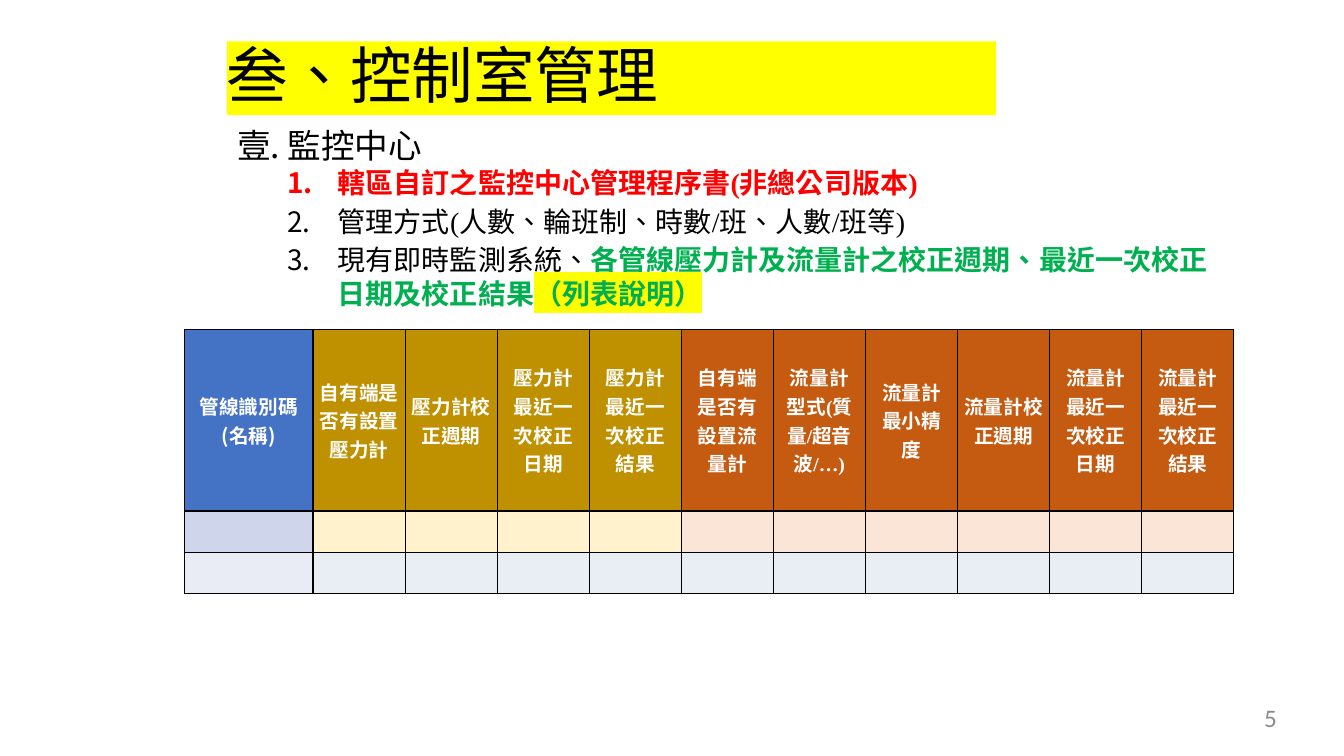
import lxml.etree
import pptx
import pptx.dml.color
import pptx.enum.lang
import pptx.enum.text
import pptx.oxml.ns
import pptx.util
from pptx.util import Cm, Pt

RGBColor = pptx.dml.color.RGBColor
BLACK = RGBColor(0x00, 0x00, 0x00)
WHITE = RGBColor(0xFF, 0xFF, 0xFF)
RED = RGBColor(0xFF, 0x00, 0x00)
GREEN = RGBColor(0x00, 0xB0, 0x50)
YELLOW = RGBColor(0xFF, 0xFF, 0x00)
GREY = RGBColor(0x8C, 0x8C, 0x8C)
BLUE = RGBColor(0x44, 0x72, 0xC4)
GOLD = RGBColor(0xBF, 0x90, 0x00)
ORANGE = RGBColor(0xC5, 0x5A, 0x11)
PALE_BLUE = RGBColor(0xCF, 0xD5, 0xEA)
PALE_GOLD = RGBColor(0xFF, 0xF2, 0xCC)
PALE_ORANGE = RGBColor(0xFB, 0xE5, 0xD6)
MIST = RGBColor(0xE9, 0xEB, 0xF5)
MIST_GREY = RGBColor(0xE9, 0xED, 0xF4)

SANS = "Noto Sans CJK SC"
SERIF = "Times New Roman"
LEFT = pptx.enum.text.PP_ALIGN.LEFT
CENTER = pptx.enum.text.PP_ALIGN.CENTER
RIGHT = pptx.enum.text.PP_ALIGN.RIGHT
TOP = pptx.enum.text.MSO_ANCHOR.TOP
MIDDLE = pptx.enum.text.MSO_ANCHOR.MIDDLE

NO_MARGINS = dict.fromkeys(("margin_left", "margin_right", "margin_top", "margin_bottom"), 0)
NARROW_MARGINS = {"margin_left": Cm(0.03), "margin_right": Cm(0.03),
                  "margin_top": Cm(0.05), "margin_bottom": Cm(0.05)}

# Paragraphs of the list: level, runs of (text, colour, bold, highlight)
OUTLINE = [
    (0, [("監控中心", BLACK, False, None)]),
    (1, [("轄區自訂之監控中心管理程序書(非總公司版本)", RED, True, None)]),
    (1, [("管理方式(人數、輪班制、時數/班、人數/班等)", BLACK, False, None)]),
    (1, [("現有即時監測系統、", BLACK, False, None),
         ("各管線壓力計及流量計之校正週期、最近一次校正日期及校正結果", GREEN, True, None),
         ("（列表說明）", GREEN, True, YELLOW)]),
]
LEVELS = [
    {"size": Pt(24), "numbering": "ea1ChtPeriod", "line": Pt(43.5), "after": Pt(0)},
    {"size": Pt(20), "numbering": "arabicPeriod", "line": Pt(24.3), "after": Pt(3)},
]

# Column groups: header fill, first row fill, second row fill, headers of (text, font, narrow)
COLUMN_GROUPS = [
    (BLUE, PALE_BLUE, MIST, [("管線識別碼\n(名稱)", SANS, False)]),
    (GOLD, PALE_GOLD, MIST_GREY, [
        ("自有端是否有設置壓力計", SERIF, True),
        ("壓力計校正週期", SERIF, True),
        ("壓力計最近一次校正日期", SANS, False),
        ("壓力計最近一次校正結果", SANS, False)]),
    (ORANGE, PALE_ORANGE, MIST_GREY, [
        ("自有端是否有設置流量計", SERIF, False),
        ("流量計型式(質量/超音波/…)", SERIF, False),
        ("流量計最小精度", SERIF, False),
        ("流量計校正週期", SERIF, True),
        ("流量計最近一次校正日期", SANS, False),
        ("流量計最近一次校正結果", SANS, False)]),
]


def set_values(target, values):
    for name, value in values.items():
        setattr(target, name, value)


def make_element(tag, **attributes):
    return lxml.etree.Element(pptx.oxml.ns.qn(tag), attributes)


class SlideBuilder:
    def __init__(self, presentation):
        self.slide = presentation.slides.add_slide(presentation.slide_layouts[1])
        self.text_format = {"language_id": pptx.enum.lang.MSO_LANGUAGE_ID.TRADITIONAL_CHINESE}
        self.frame_format = {"word_wrap": True,
                             "auto_size": pptx.enum.text.MSO_AUTO_SIZE.NONE}

    def place(self, shape, left, top, width, height):
        set_values(shape, {"left": Cm(left), "top": Cm(top),
                           "width": Cm(width), "height": Cm(height)})

    def run(self, paragraph, text, color, size, font=SERIF, bold=False, highlight=None):
        run = paragraph.add_run()
        run.text = text
        run.font.color.rgb = color
        set_values(run.font, {**self.text_format, "size": size, "name": font, "bold": bold})
        latin = run.font._element.find(pptx.oxml.ns.qn("a:latin"))
        latin.addnext(make_element("a:ea", typeface=font if font != SERIF else SANS))
        if highlight is not None:
            mark = make_element("a:highlight")
            mark.append(make_element("a:srgbClr", val=str(highlight)))
            latin.addprevious(mark)

    def title(self, runs, box):
        shape = self.slide.shapes.title
        self.place(shape, *box)
        shape.fill.solid()
        shape.fill.fore_color.rgb = YELLOW
        frame = shape.text_frame
        set_values(frame, {**self.frame_format, **NO_MARGINS, "vertical_anchor": MIDDLE})
        paragraph = frame.paragraphs[0]
        set_values(paragraph, {"alignment": LEFT, "line_spacing": 0.9})
        for text, font in runs:
            self.run(paragraph, text, BLACK, Pt(44), font)

    def numbered_list(self, outline, box):
        shape = self.slide.placeholders[1]
        self.place(shape, *box)
        frame = shape.text_frame
        set_values(frame, {**self.frame_format, "vertical_anchor": TOP})
        for index, (level, runs) in enumerate(outline):
            paragraph = frame.add_paragraph() if index else frame.paragraphs[0]
            style = LEVELS[level]
            set_values(paragraph, {"level": level, "alignment": LEFT, "space_before": Pt(0),
                                   "space_after": style["after"], "line_spacing": style["line"]})
            properties = paragraph._p.get_or_add_pPr()
            properties.set("marL", str(Cm(1.27) * (level + 1)))
            properties.set("indent", str(-Cm(1.27)))
            properties.append(make_element("a:buFont", typeface=SANS))
            properties.append(make_element("a:buAutoNum", type=style["numbering"]))
            for text, color, bold, highlight in runs:
                self.run(paragraph, text, color, style["size"], bold=bold, highlight=highlight)

    def page_number(self, text, box):
        frame = self.slide.shapes.add_textbox(*map(Cm, box)).text_frame
        set_values(frame, {**self.frame_format, **NO_MARGINS, "vertical_anchor": MIDDLE})
        frame.paragraphs[0].alignment = RIGHT
        self.run(frame.paragraphs[0], text, GREY, Pt(18), "Calibri")

    def format_cell(self, cell, color):
        cell.fill.solid()
        cell.fill.fore_color.rgb = color
        for position, side in enumerate(("a:lnL", "a:lnR", "a:lnT", "a:lnB")):
            line = make_element(side, w=str(Pt(1)))
            fill = make_element("a:solidFill")
            fill.append(make_element("a:srgbClr", val=str(BLACK)))
            line.append(fill)
            cell._tc.get_or_add_tcPr().insert(position, line)

    def header(self, cell, text, font, narrow):
        set_values(cell, {"vertical_anchor": MIDDLE, **(NARROW_MARGINS if narrow else {})})
        for index, line in enumerate(text.split("\n")):
            frame = cell.text_frame
            paragraph = frame.add_paragraph() if index else frame.paragraphs[0]
            paragraph.alignment = CENTER
            self.run(paragraph, line, WHITE, Pt(14), font, bold=True)

    def table(self, groups, left, top, widths, heights):
        columns = [(fills, header) for *fills, headers in groups for header in headers]
        table = self.slide.shapes.add_table(
            len(heights), len(columns), Cm(left), Cm(top),
            Cm(sum(widths)), Cm(sum(heights))).table
        set_values(table, {"first_row": False, "horz_banding": False})
        for row, height in zip(table.rows, heights):
            row.height = Cm(height)
        for index, (fills, header) in enumerate(columns):
            table.columns[index].width = Cm(widths[index])
            for row_index, color in enumerate(fills):
                self.format_cell(table.cell(row_index, index), color)
            self.header(table.cell(0, index), *header)


def main():
    presentation = pptx.Presentation()
    set_values(presentation, {"slide_width": Cm(33.87), "slide_height": Cm(19.05)})
    builder = SlideBuilder(presentation)
    builder.title([("叁", SERIF), ("、控制室管理", SANS)], (5.72, 1.04, 19.38, 1.86))
    builder.numbered_list(OUTLINE, (5.72, 2.51, 25.4, 7.34))
    builder.page_number("5", (24.38, 17.7, 7.8, 0.76))
    builder.table(COLUMN_GROUPS, 4.65, 8.3, [3.24] + [2.32] * 10, [3.79, 1.04, 1.04])
    presentation.save("out.pptx")


if __name__ == "__main__":
    main()
